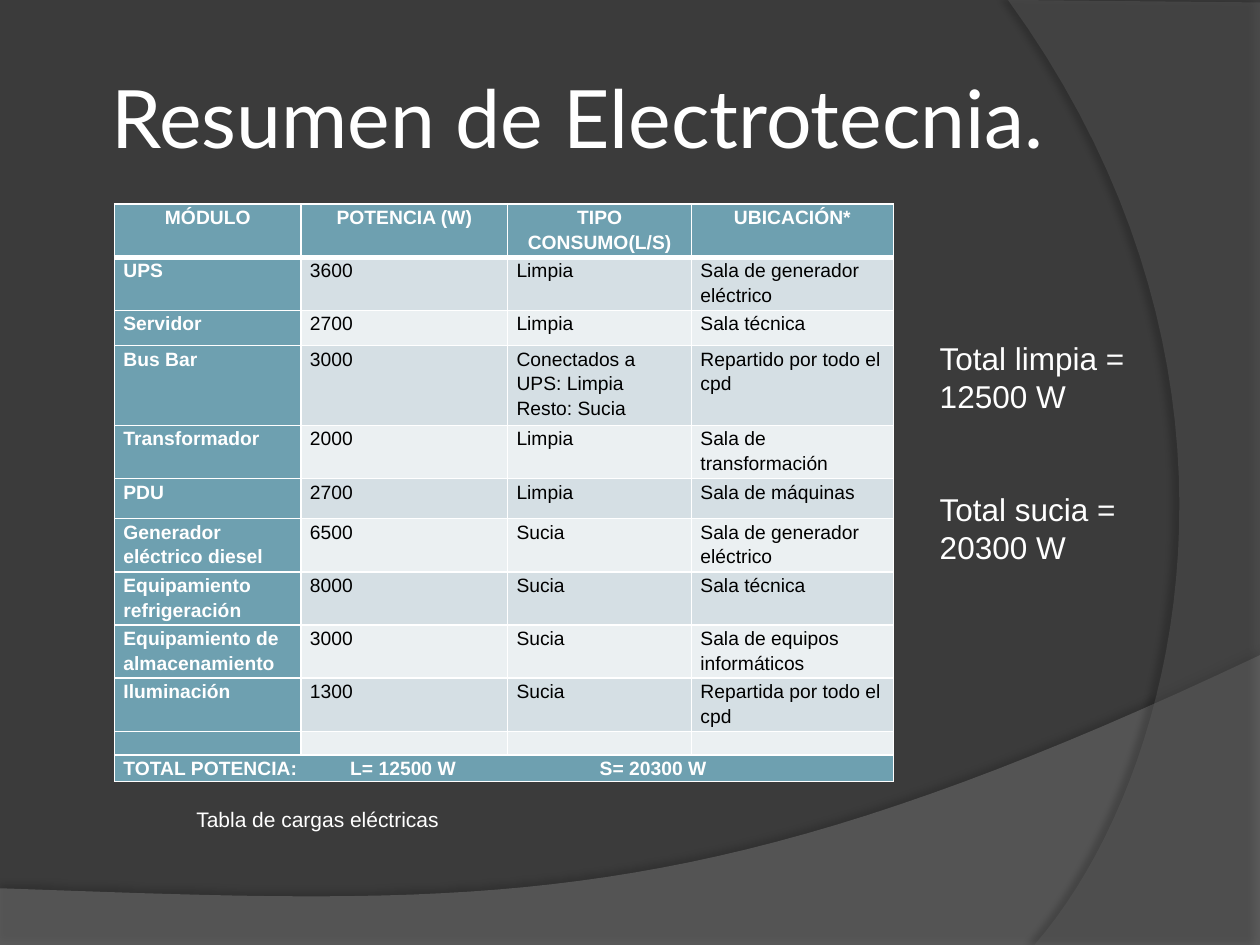
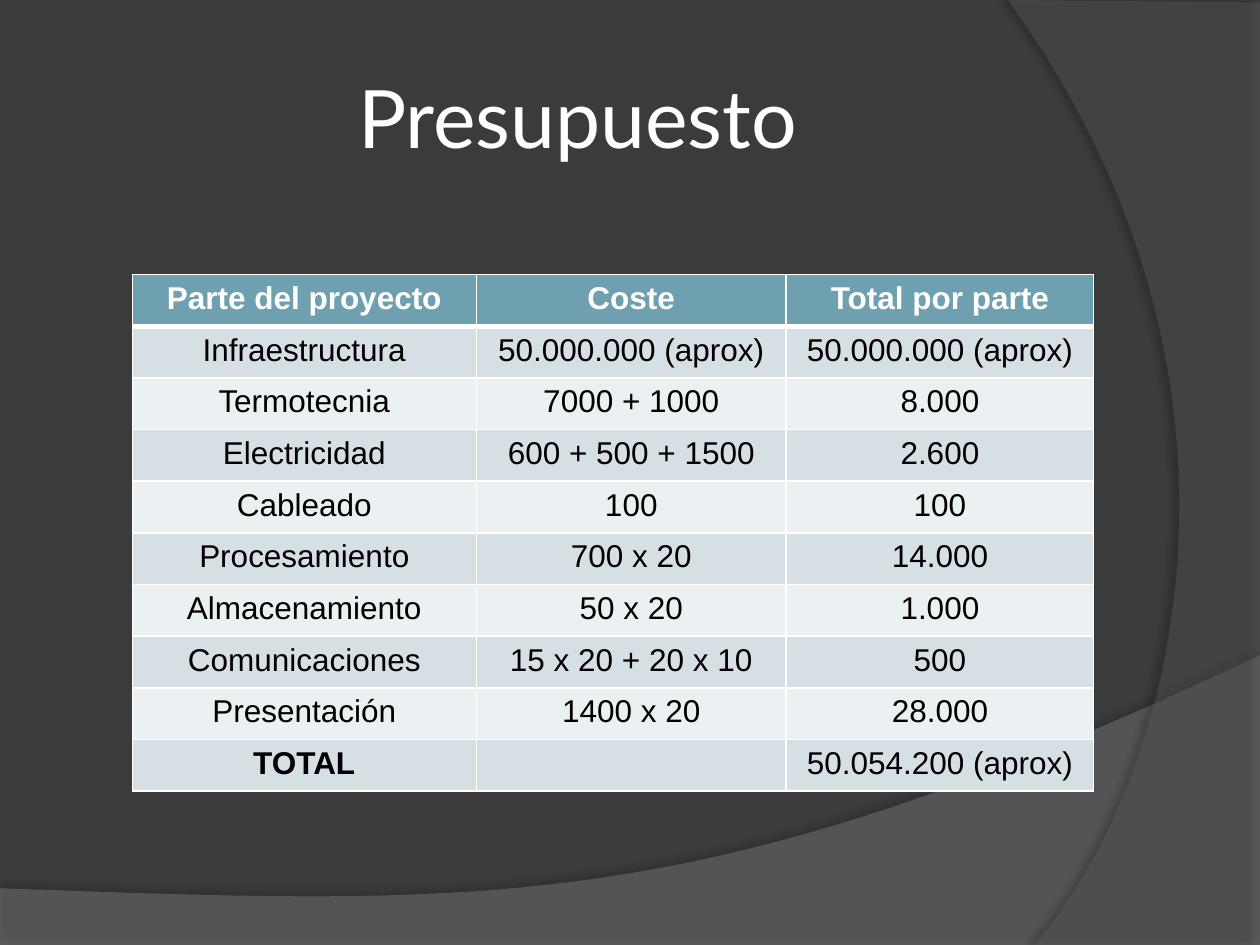
"""Build two dark slides: an electrical load table and a project budget."""
import pptx
import pptx.util
import pptx.dml.color
import pptx.enum.text
import pptx.oxml
import pptx.oxml.ns
import lxml.etree

Inches, Pt = pptx.util.Inches, pptx.util.Pt
ALIGN = pptx.enum.text.PP_ALIGN
ANCHOR = pptx.enum.text.MSO_ANCHOR
qn = pptx.oxml.ns.qn

COLORS = {
    "back": "3B3B3B", "wave": "7F7F7F", "arc": "5E5E5E", "shade": "000000",
    "head": "6EA0B0", "odd": "D5DFE4", "even": "EBF0F2",
    "light": "FFFFFF", "dark": "000000",
}

CURVES = [
    {"fill": "wave", "alpha": 45, "shadow": (35, 4, 3.5, 270),
     "path": [(0, 7.05), (0, 7.5), (10, 7.5), (10, 5.2),
              ((5.59, 7.29), (3.91, 7.19), (0, 7.05))]},
    {"fill": "arc", "alpha": 40, "shadow": (45, 4, 4, 180),
     "path": [(10, 0.02), (10, 7.5), (8.21, 7.5),
              ((9.35, 6.19), (10.18, 3), (8, 0)), (10, 0.02)]},
]

LOADS = {
    "at": (0.91, 1.62), "cols": [1.48, 1.64, 1.46, 1.6],
    "heights": [0.39, 0.39, 0.28, 0.59, 0.39, 0.32,
                0.39, 0.39, 0.39, 0.39, 0.19, 0.19],
    "size": 11, "align": ALIGN.LEFT, "spacing": 1.15, "side": True,
    "margins": {"margin_left": 0.07, "margin_right": 0.07,
                "margin_top": 0, "margin_bottom": 0},
    "tabs": [1.8, 3.78],
    "rows": [
        ("MÓDULO", "POTENCIA (W)", "TIPO CONSUMO(L/S)", "UBICACIÓN*"),
        ("UPS", "3600", "Limpia", "Sala de generador eléctrico"),
        ("Servidor", "2700", "Limpia", "Sala técnica"),
        ("Bus Bar", "3000", "Conectados a UPS: Limpia\nResto: Sucia",
         "Repartido por todo el cpd"),
        ("Transformador", "2000", "Limpia", "Sala de transformación"),
        ("PDU", "2700", "Limpia", "Sala de máquinas"),
        ("Generador eléctrico diesel", "6500", "Sucia",
         "Sala de generador eléctrico"),
        ("Equipamiento refrigeración", "8000", "Sucia", "Sala técnica"),
        ("Equipamiento de almacenamiento", "3000", "Sucia",
         "Sala de equipos informáticos"),
        ("Iluminación", "1300", "Sucia", "Repartida por todo el cpd"),
        ("", "", "", ""),
        ("TOTAL POTENCIA:\tL= 12500 W\tS= 20300 W",),
    ],
}

BUDGET = {
    "at": (1.05, 2.18), "cols": [2.73, 2.46, 2.44], "heights": [0.41] * 10,
    "size": 18, "align": ALIGN.CENTER, "spacing": 1, "side": False,
    "margins": {"margin_left": 0.1, "margin_right": 0.1,
                "margin_top": 0.05, "margin_bottom": 0.05},
    "tabs": [],
    "rows": [
        ("Parte del proyecto", "Coste", "Total por parte"),
        ("Infraestructura", "50.000.000 (aprox)", "50.000.000 (aprox)"),
        ("Termotecnia", "7000 + 1000", "8.000"),
        ("Electricidad", "600 + 500 + 1500", "2.600"),
        ("Cableado", "100", "100"),
        ("Procesamiento", "700 x 20", "14.000"),
        ("Almacenamiento", "50 x 20", "1.000"),
        ("Comunicaciones", "15 x 20 + 20 x 10", "500"),
        ("Presentación", "1400 x 20", "28.000"),
        ("TOTAL", "", "50.054.200 (aprox)"),
    ],
}

TITLE = {"at": (0.5, 0.3, 8.17, 1.25), "size": 46, "font": "Lato",
         "align": ALIGN.CENTER, "anchor": ANCHOR.MIDDLE, "inset": 0.05}
NOTES = [
    {"at": (1.46, 6.35, 2.91, 0.61), "size": 12,
     "lines": [("Tabla de cargas eléctricas", 0)]},
    {"at": (7.36, 2.64, 1.81, 1.92), "size": 18,
     "lines": [("Total limpia = 12500 W", 0), ("Total sucia =", 43),
               ("20300 W", 0)]},
]
SLIDES = [("Resumen de Electrotecnia.", LOADS, NOTES),
          ("Presupuesto", BUDGET, [])]


def tint(name):
    return pptx.dml.color.RGBColor.from_string(COLORS[name])


def apply(item, values):
    for name, value in values.items():
        setattr(item, name, value)


def node(parent, tag, **attrs):
    return lxml.etree.SubElement(
        parent, qn(tag), {key: str(val) for key, val in attrs.items()})


def paint(fill, name):
    fill.solid()
    fill.fore_color.rgb = tint(name)


def write(para, text, size, color, bold=False, font="Arial", **form):
    apply(para, form)
    if not text:
        node(para._p, "a:endParaRPr", sz=size * 100)
        return
    run = para.add_run()
    run.text = text
    apply(run.font, {"size": Pt(size), "name": font, "bold": bold})
    run.font.color.rgb = tint(color)


def trace(path, steps=40):
    points = []
    for part in path:
        if not isinstance(part[0], tuple):
            points.append(part)
            continue
        knots = (points[-1],) + part
        for step in range(1, steps + 1):
            t = step / steps
            mix = ((1 - t) ** 3, 3 * t * (1 - t) ** 2,
                   3 * t ** 2 * (1 - t), t ** 3)
            points.append(tuple(sum(m * k[axis] for m, k in zip(mix, knots))
                                for axis in (0, 1)))
    return [(Inches(x), Inches(y)) for x, y in points]


def draw_curve(slide, curve):
    first, *rest = trace(curve["path"])
    pen = slide.shapes.build_freeform(*first)
    pen.add_line_segments(rest, close=True)
    shape = pen.convert_to_shape()
    paint(shape.fill, curve["fill"])
    shape.line.fill.background()
    shape.shadow.inherit = False
    props = shape._element.spPr
    color = props.find(qn("a:solidFill")).find(qn("a:srgbClr"))
    node(color, "a:alpha", val=curve["alpha"] * 1000)
    alpha, blur, gap, angle = curve["shadow"]
    cast = node(props.find(qn("a:effectLst")), "a:outerShdw",
                blurRad=Pt(blur), dist=Pt(gap), dir=angle * 60000,
                algn="ctr", rotWithShape=0)
    shade = node(cast, "a:srgbClr", val=COLORS["shade"])
    node(shade, "a:alpha", val=alpha * 1000)


def add_box(slide, at):
    frame = slide.shapes.add_textbox(*map(Inches, at)).text_frame
    frame.word_wrap = True
    return frame


def add_title(slide, text):
    frame = add_box(slide, TITLE["at"])
    frame.vertical_anchor = TITLE["anchor"]
    for side in ("left", "right", "top", "bottom"):
        setattr(frame, "margin_" + side, Inches(TITLE["inset"]))
    write(frame.paragraphs[0], text, TITLE["size"], "light",
          font=TITLE["font"], alignment=TITLE["align"])


def add_note(slide, note):
    frame = add_box(slide, note["at"])
    for index, (text, gap) in enumerate(note["lines"]):
        para = frame.add_paragraph() if index else frame.paragraphs[0]
        write(para, text, note["size"], "light", space_before=Pt(gap))


def edge(cell, widths):
    props = cell._tc.get_or_add_tcPr()
    for index, (side, width) in enumerate(widths.items()):
        line = lxml.etree.Element(qn("a:ln" + side), w=str(Pt(width)))
        fill = node(line, "a:solidFill")
        node(fill, "a:srgbClr", val=COLORS["light"])
        props.insert(index, line)


def fill_cell(cell, text, data, strong, fill, align):
    apply(cell, {key: Inches(val) for key, val in data["margins"].items()})
    paint(cell.fill, fill)
    color = "light" if fill == "head" else "dark"
    for index, line in enumerate(text.split("\n")):
        frame = cell.text_frame
        para = frame.add_paragraph() if index else frame.paragraphs[0]
        write(para, line, data["size"], color, strong,
              alignment=align, line_spacing=data["spacing"])
        if "\t" in line:
            stops = node(para._p.get_or_add_pPr(), "a:tabLst")
            for stop in data["tabs"]:
                node(stops, "a:tab", pos=Inches(stop), algn="l")


def add_grid(slide, data):
    rows, cols, heights = data["rows"], data["cols"], data["heights"]
    size = (sum(cols), sum(heights))
    grid = slide.shapes.add_table(
        len(rows), len(cols), *map(Inches, data["at"] + size)).table
    apply(grid, {"first_row": False, "horz_banding": False})
    for col, width in zip(grid.columns, cols):
        col.width = Inches(width)
    for row, height in zip(grid.rows, heights):
        row.height = Inches(height)
    for r, row in enumerate(rows):
        if len(row) == 1:
            grid.cell(r, 0).merge(grid.cell(r, len(cols) - 1))
        for c, text in enumerate(row):
            top, side = r == 0, data["side"] and c == 0
            fill = "head" if top or side else "odd" if r % 2 else "even"
            align = ALIGN.CENTER if top else data["align"]
            strong = top or side or text == "TOTAL"
            fill_cell(grid.cell(r, c), text, data, strong, fill, align)
        for c in range(len(cols)):
            edge(grid.cell(r, c), {"L": 1, "R": 1, "T": 3 if r == 1 else 1,
                                   "B": 1 if r else 3})


def main():
    deck = pptx.Presentation()
    apply(deck, {"slide_width": Inches(10), "slide_height": Inches(7.5)})
    for title, data, notes in SLIDES:
        slide = deck.slides.add_slide(deck.slide_layouts[6])
        paint(slide.background.fill, "back")
        for curve in CURVES:
            draw_curve(slide, curve)
        add_title(slide, title)
        add_grid(slide, data)
        for note in notes:
            add_note(slide, note)
    deck.save("out.pptx")


main()
